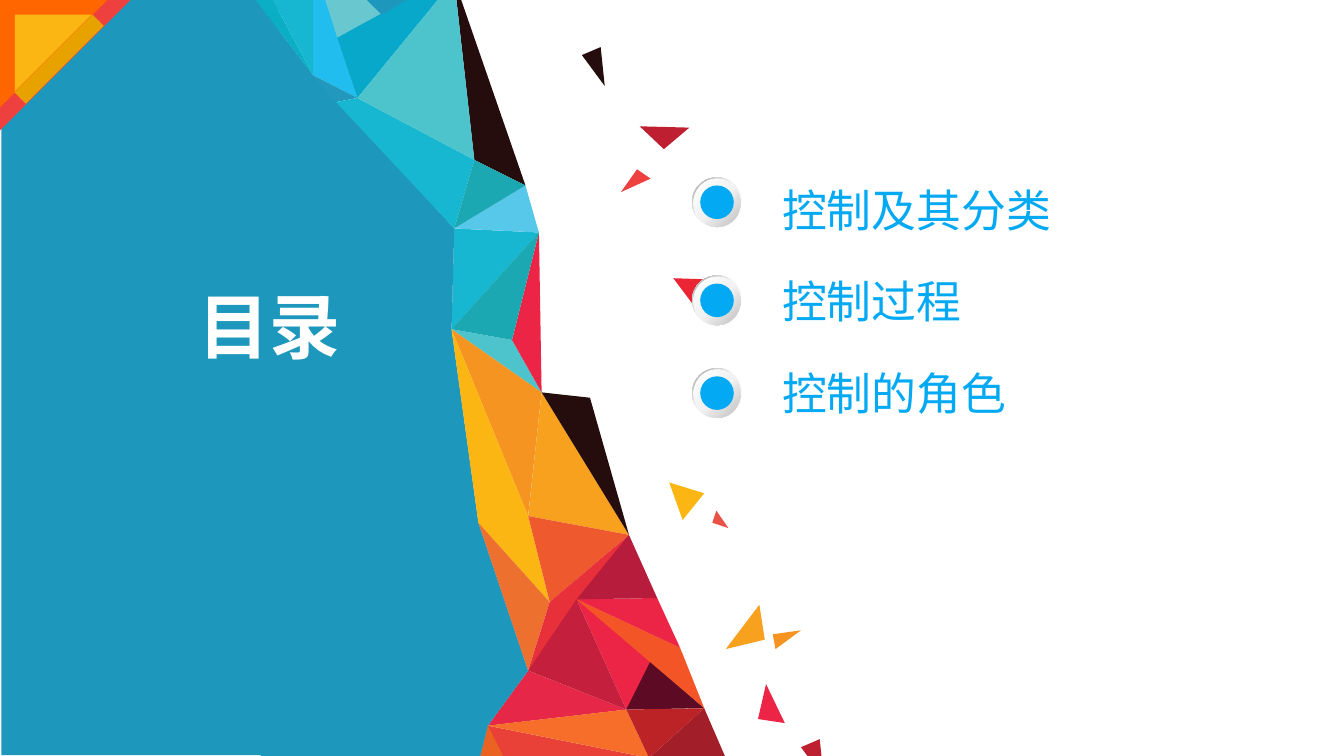
from typing import NamedTuple

from pptx import Presentation
from pptx.dml.color import RGBColor
from pptx.enum.shapes import MSO_SHAPE
from pptx.enum.text import MSO_AUTO_SIZE, PP_ALIGN
from pptx.oxml import parse_xml
from pptx.oxml.ns import nsdecls
from pptx.util import Inches, Pt

RECTANGLE = MSO_SHAPE.RECTANGLE
CORNER = MSO_SHAPE.RIGHT_TRIANGLE
OVAL = MSO_SHAPE.OVAL
DONUT = MSO_SHAPE.DONUT
FIT_SHAPE = MSO_AUTO_SIZE.SHAPE_TO_FIT_TEXT
LEFT, CENTER = PP_ALIGN.LEFT, PP_ALIGN.CENTER

color_of = RGBColor.from_string
WHITE = color_of("FFFFFF")
PALE_GREY = color_of("F2F2F2")
MID_GREY = color_of("BFBFBF")
DARK_GREY = color_of("A6A6A6")
ACCENT = color_of("03A9F3")
BLUE = color_of("1D97BC")
STEEL = color_of("2198BC")
AZURE = color_of("21BDEE")
SKY = color_of("57C8EA")
OCEAN = color_of("08A8CA")
CYAN = color_of("17B7D1")
TURQUOISE = color_of("0AAEC5")
TEAL = color_of("1BA8B2")
AQUA = color_of("4DC4CC")
MIST = color_of("69C7CF")
BLACK_RED = color_of("260D0D")
PLUM = color_of("5D0B24")
MAROON = color_of("A21F29")
WINE = color_of("B71C3C")
BRICK = color_of("BC2326")
CRIMSON = color_of("BE1F31")
RUBY = color_of("C41F3D")
ROSE = color_of("E72748")
RED = color_of("E73039")
SCARLET = color_of("EB2534")
PINK_RED = color_of("EC2546")
TOMATO = color_of("E94138")
CORAL = color_of("EE403F")
SALMON = color_of("EA5248")
RUST = color_of("EB6323")
EMBER = color_of("EE592E")
COPPER = color_of("ED702E")
FLAME = color_of("F45526")
PUMPKIN = color_of("F66E29")
ORANGE = color_of("FF6600")
TANGERINE = color_of("F59421")
AMBER = color_of("F8A11E")
YELLOW = color_of("FBB614")
GOLD = color_of("E7A200")

Point = tuple[float, float]


class Facet(NamedTuple):
    color: RGBColor
    corners: str


class Splinter(NamedTuple):
    color: RGBColor
    points: list[Point]


class Item(NamedTuple):
    text: str
    top: float
    bullet_top: float


# Corners shared by neighbouring facets of the mosaic, from top to bottom
MESH: dict[str, Point] = {
    "A": (1.88, -0.03), "B": (2.03, 0), "C": (2.33, 0), "D": (2.33, 0.56),
    "E": (2.41, -0.04), "F": (2.66, 0.73), "G": (2.51, 0.28), "H": (2.65, -0.1),
    "I": (2.84, 0.11), "J": (3.38, -0.15), "K": (3.53, 1.19), "L": (3.91, 1.38),
    "M": (3.38, 1.7), "N": (4.01, 1.73), "O": (3.36, 2.45), "P": (3.81, 2.53),
    "Q": (4.03, 2.92), "R": (4.39, 2.96), "S": (4.68, 3.98), "T": (3.93, 3.84),
    "U": (3.56, 3.89), "V": (4.09, 4.48), "W": (3.93, 4.99), "X": (4.29, 4.46),
    "Y": (4.89, 4.45), "Z": (5.06, 4.82), "a": (5.24, 5.27), "b": (4.66, 5.28),
    "c": (3.63, 5.4), "d": (4.84, 4.92), "e": (4.83, 5.64), "f": (3.57, 5.64),
    "g": (5.4, 5.64), "h": (2.5, 0.76), "k": (3.08, -0.03), "m": (1.94, 5.64),
    "n": (2.71, -0.02), "p": (3.75, 5.64),
}

# Back to front
MOSAIC = [
    Facet(PINK_RED, "XbZ"), Facet(PLUM, "bad"), Facet(BLACK_RED, "JLK"),
    Facet(MAROON, "age"), Facet(PINK_RED, "XZY"), Facet(TOMATO, "cfe"),
    Facet(ROSE, "Wcb"), Facet(AQUA, "OPQ"), Facet(CYAN, "MNO"), Facet(SKY, "MLN"),
    Facet(RUST, "cfp"), Facet(AZURE, "CEFD"), Facet(BLUE, "ADMOUWcfm"),
    Facet(TURQUOISE, "ABD"), Facet(CYAN, "BCD"), Facet(STEEL, "DFh"),
    Facet(CYAN, "FKMh"), Facet(TEAL, "KLM"), Facet(MIST, "EHIG"),
    Facet(OCEAN, "GFJk"), Facet(PINK_RED, "NPQ"), Facet(AQUA, "JKF"),
    Facet(TEAL, "NPO"), Facet(TANGERINE, "OQT"), Facet(YELLOW, "OUVT"),
    Facet(AMBER, "QTS"), Facet(BLACK_RED, "QRS"), Facet(EMBER, "TVS"),
    Facet(COPPER, "UVW"), Facet(RED, "VSW"), Facet(WINE, "XYS"), Facet(RUBY, "XbW"),
    Facet(FLAME, "XaZ"), Facet(PUMPKIN, "cbe"), Facet(BRICK, "bae"), Facet(BLUE, "nIk"),
]

# Loose splinters right of the mosaic
SPLINTERS = [
    Splinter(CORAL, [(4.74, 1.26), (4.62, 1.43), (4.84, 1.33)]),
    Splinter(SCARLET, [(5.01, 2.07), (5.3, 2.08), (5.25, 2.39)]),
    Splinter(CRIMSON, [(4.76, 0.94), (5.13, 0.95), (4.94, 1.11)]),
    Splinter(YELLOW, [(4.98, 3.59), (5.24, 3.67), (5.08, 3.87)]),
    Splinter(AMBER, [(5.65, 4.5), (5.4, 4.83), (5.69, 4.76)]),
    Splinter(PINK_RED, [(5.7, 5.09), (5.64, 5.35), (5.84, 5.38)]),
    Splinter(TANGERINE, [(5.75, 4.72), (5.96, 4.69), (5.77, 4.83)]),
    Splinter(SALMON, [(5.33, 3.8), (5.42, 3.93), (5.3, 3.89)]),
]
SHARD = [(0.14, 0), (0, 0.06), (0.17, 0.29)]
SHARD_PLACES = [(BLACK_RED, 4.33, 0.35), (CRIMSON, 5.96, 5.5)]

ITEMS = [
    Item("控制及其分类", 1.31, 1.32),
    Item("控制过程", 1.99, 2.05),
    Item("控制的角色", 2.67, 2.74),
]


def paint(shape, color: RGBColor | None) -> None:
    shape.shadow.inherit = False
    shape.line.fill.background()
    if color is not None:
        shape.fill.solid()
        shape.fill.fore_color.rgb = color


def add_polygon(page, color: RGBColor, points: list[Point]) -> None:
    start, *rest = [(Inches(x), Inches(y)) for x, y in points]
    builder = page.shapes.build_freeform(*start)
    builder.add_line_segments(rest, close=True)
    paint(builder.convert_to_shape(), color)


def add_preset(shapes, kind, left: float, top: float, width: float, height: float,
               color: RGBColor | None = None, rotation: float = 0):
    shape = shapes.add_shape(kind, Inches(left), Inches(top), Inches(width), Inches(height))
    shape.rotation = rotation
    paint(shape, color)
    return shape


def set_gradient(shape, middle: int, end_color: RGBColor, angle: int) -> None:
    stops = [(0, WHITE), (middle, PALE_GREY), (100, end_color)]
    marks = "".join(f'<a:gs pos="{place * 1000}"><a:srgbClr val="{color}"/></a:gs>'
                    for place, color in stops)
    fill = parse_xml(f'<a:gradFill {nsdecls("a")} rotWithShape="1"><a:gsLst>{marks}</a:gsLst>'
                     f'<a:lin ang="{angle * 60000}" scaled="0"/></a:gradFill>')
    shape._element.spPr.insert(2, fill)


def add_bullet(page, top: float) -> None:
    shapes = page.shapes.add_group_shape().shapes
    rim = add_preset(shapes, DONUT, 5.15, top, 0.37, 0.37)
    rim.adjustments[0] = 0.05
    set_gradient(rim, 55, DARK_GREY, 225)
    button = add_preset(shapes, OVAL, 5.16, top + 0.01, 0.35, 0.36)
    set_gradient(button, 51, MID_GREY, 45)
    add_preset(shapes, OVAL, 5.21, top + 0.06, 0.25, 0.25, ACCENT)


def add_text(page, text: str, left: float, top: float, width: float, height: float, *,
             size: int, color: RGBColor, bold: bool = False, align=LEFT, wrap: bool = True) -> None:
    box = page.shapes.add_textbox(Inches(left), Inches(top), Inches(width), Inches(height))
    box.text_frame.word_wrap = wrap
    box.text_frame.auto_size = FIT_SHAPE
    para = box.text_frame.paragraphs[0]
    para.alignment = align
    span = para.add_run()
    span.text = text
    span.font.name, span.font.size, span.font.bold = "Arial", Pt(size), bold
    span.font.color.rgb = color


def main() -> None:
    deck = Presentation()
    deck.slide_width = Inches(10)
    deck.slide_height = deck.slide_width * 9 // 16
    page = deck.slides.add_slide(deck.slide_layouts[6])

    # Left panel, mosaic and splinters
    add_preset(page.shapes, RECTANGLE, 0.01, -0.01, 2.06, 5.63, BLUE)
    for facet in MOSAIC:
        add_polygon(page, facet.color, [MESH[corner] for corner in facet.corners])
    for splinter in SPLINTERS:
        add_polygon(page, splinter.color, splinter.points)
    for color, left, top in SHARD_PLACES:
        add_polygon(page, color, [(left + x, top + y) for x, y in SHARD])

    # Corner ornament
    for color, inset, side in [(CORAL, 0, 0.97), (ORANGE, 0, 0.8), (YELLOW, 0.11, 0.57)]:
        add_preset(page.shapes, CORNER, inset, inset, side, side, color, 90)
    add_preset(page.shapes, RECTANGLE, 0.38, 0.03, 0.12, 0.82, GOLD, 45)

    # Contents list and heading
    for item in ITEMS:
        add_text(page, item.text, 5.72, item.top, 2.58, 0.5, size=24, color=ACCENT)
        add_bullet(page, item.bullet_top)
    add_text(page, "目录", 1.37, 2.05, 1.27, 0.74, size=38, color=WHITE, bold=True,
             align=CENTER, wrap=False)
    deck.save("out.pptx")


if __name__ == "__main__":
    main()
